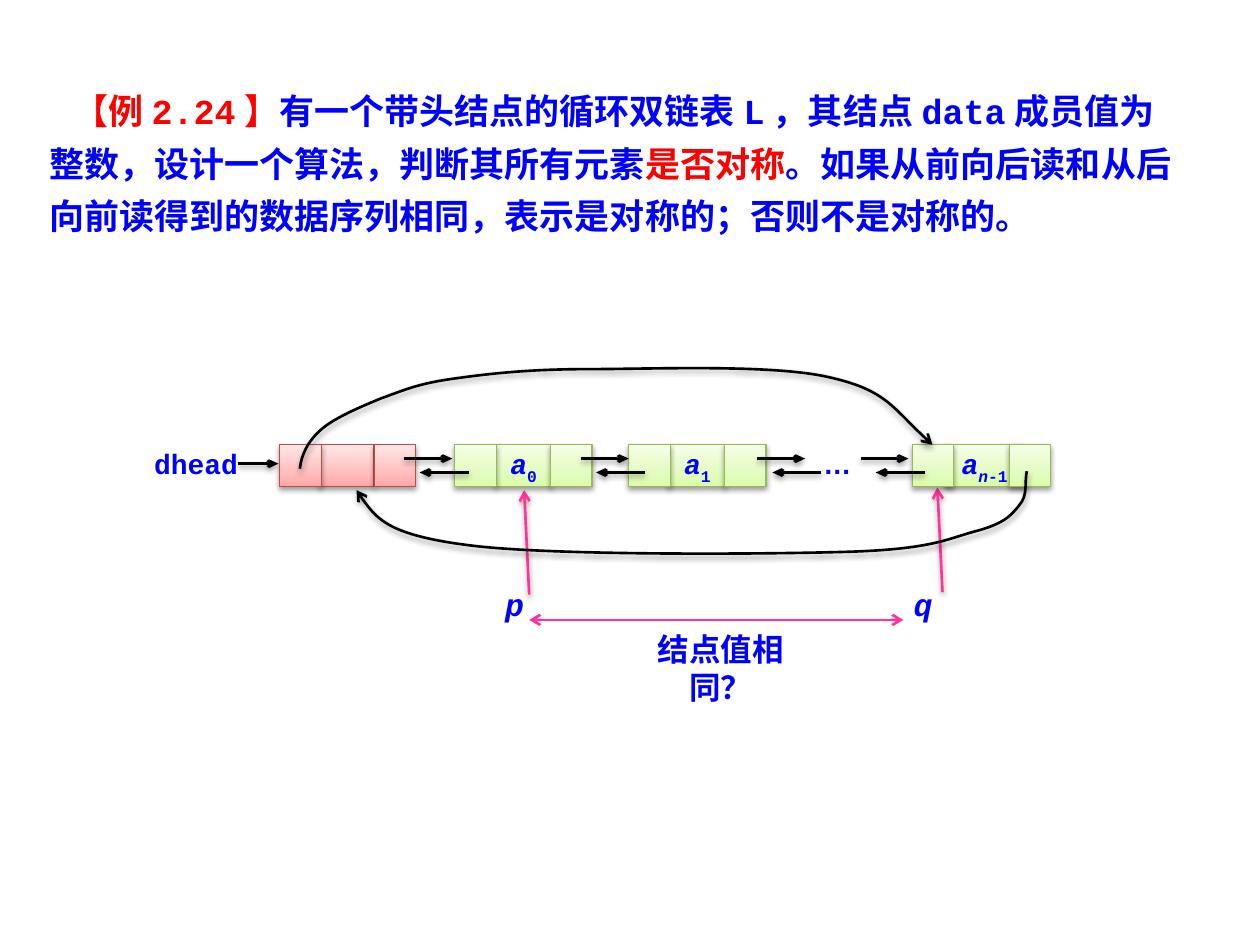
from lxml.etree import SubElement
from pptx import Presentation
from pptx.dml.color import RGBColor
from pptx.enum.shapes import MSO_CONNECTOR, MSO_SHAPE
from pptx.enum.text import MSO_ANCHOR, PP_ALIGN
from pptx.oxml import parse_xml
from pptx.oxml.ns import nsdecls, qn
from pptx.util import Inches, Pt

BLUE, RED, PINK, BLACK, WHITE = "0000FF", "FF0000", "FF3399", "000000", "FFFFFF"
ROSE = ("FFA6A5", "FFC0BF", "FFE7E7", "BF4C48")
GREEN = ("DAFDA7", "E4FCC2", "F5FFE7", "98B955")
MONO, HAN = "Courier New", "Noto Sans CJK SC"


def color(code):
    """Turn a hex string into a colour."""
    return RGBColor.from_string(code)


def shade(shape, on=True):
    """Give a shape a soft shadow below it, or none."""
    props = shape._element.spPr
    for old in props.findall(qn("a:effectLst")):
        props.remove(old)
    effects = SubElement(props, qn("a:effectLst"))
    if on:
        effects.append(parse_xml(
            f'<a:outerShdw {nsdecls("a")} blurRad="40000" dist="20000" dir="5400000" '
            'rotWithShape="0"><a:srgbClr val="000000"><a:alpha val="38000"/>'
            '</a:srgbClr></a:outerShdw>'))


def stroke(shape, code, ends=("tailEnd",), shadow=True, wide="med"):
    """Style a line or curve with arrowheads."""
    shape.line.color.rgb = color(code)
    shape.line.width = Pt(1.5)
    for end in ends:
        SubElement(shape.line._get_or_add_ln(), qn(f"a:{end}"), type="arrow", w=wide)
    shade(shape, shadow)


def arrow(group, x1, y1, x2, y2, code=BLACK, **style):
    """Draw a straight arrow between two points."""
    line = group.shapes.add_connector(
        MSO_CONNECTOR.STRAIGHT, Inches(x1), Inches(y1), Inches(x2), Inches(y2))
    stroke(line, code, **style)


def curve(group, x, y, start, *points):
    """Draw a curved arrow; each three points make one cubic segment."""
    form = group.shapes.build_freeform(Inches(x + start[0]), Inches(y + start[1]))
    form.add_line_segments([(Inches(x + a), Inches(y + b)) for a, b in points], close=False)
    shape = form.convert_to_shape()
    track = next(shape._element.iter(qn("a:path")))
    lines = track.findall(qn("a:lnTo"))
    for first in range(0, len(lines), 3):
        bend = SubElement(track, qn("a:cubicBezTo"))
        for line in lines[first:first + 3]:
            bend.append(line[0])
            track.remove(line)
    shape.fill.background()
    stroke(shape, BLACK)


def box(group, x, y, w, h, fill=None):
    """Add a plain rectangle, filled or clear."""
    shape = group.shapes.add_shape(
        MSO_SHAPE.RECTANGLE, Inches(x), Inches(y), Inches(w), Inches(h))
    shape.line.fill.background()
    shape.shadow.inherit = False
    if fill:
        shape.fill.solid()
        shape.fill.fore_color.rgb = color(fill)
    else:
        shape.fill.background()
    return shape


def write(shape, runs, size=16, font=MONO, italic=False, inset=(0.1, 0, 0.1, 0),
          anchor=MSO_ANCHOR.MIDDLE, align=PP_ALIGN.CENTER, spacing=None):
    """Write (text, colour, italic, baseline) runs as one bold paragraph."""
    frame = shape.text_frame
    frame.word_wrap = True
    frame.vertical_anchor = anchor
    (frame.margin_left, frame.margin_top,
     frame.margin_right, frame.margin_bottom) = map(Inches, inset)
    para = frame.paragraphs[0]
    para.alignment = align
    para.line_spacing = spacing
    para.font.name, para.font.size = font, Pt(size)
    para.font.bold, para.font.italic = True, italic
    for text, code, slant, base in runs:
        run = para.add_run()
        run.text = text
        run.font.color.rgb = color(code)
        run.font.italic = slant
        if base:
            run.font._element.set("baseline", str(base * 1000))
        SubElement(run.font._element, qn("a:ea"), typeface=HAN)
    return para


def cell(group, x, y, w, h, look):
    """Draw one gradient cell of a list node."""
    shape = box(group, x, y, w, h)
    shape.fill.gradient()
    shape.fill.gradient_angle = 90
    stops = shape._element.spPr.find(qn("a:gradFill")).find(qn("a:gsLst"))
    for old in list(stops):
        stops.remove(old)
    for place, code in zip((0, 35, 100), look):
        stop = SubElement(stops, qn("a:gs"), pos=str(place * 1000))
        SubElement(stop, qn("a:srgbClr"), val=code)
    shape.line.color.rgb = color(look[3])
    shape.line.width = Pt(0.75)
    shade(shape)
    return shape


def node(group, x, y, look, mid=0.32, wide=0.45, right=0.76, sub=()):
    """Draw a node of two link cells around a data cell."""
    data = cell(group, x + mid, y, wide, 0.33, look)
    for left in (x + right, x):
        cell(group, left, y, 0.33, 0.33, look)
    if sub:
        runs = [("a", BLUE, True, 0)] + [(t, BLUE, i, -30) for t, i in sub]
        write(data, runs, spacing=Pt(23))


def chain(slide, x, y):
    """Draw the circular doubly linked list."""
    group = slide.shapes.add_group_shape()
    write(box(group, x, y, 0.85, 0.33, WHITE), [("dhead", BLUE, None, 0)],
          inset=(0.02, 0, 0.1, 0.04))
    node(group, x + 1.05, y, ROSE, wide=0.43, right=0.75)
    node(group, x + 2.44, y, GREEN, sub=[("0", False)])
    node(group, x + 3.82, y, GREEN, sub=[("1", False)])
    node(group, x + 6.07, y, GREEN, 0.26, 0.63, 0.77, [("n", True), ("-1", False)])
    write(box(group, x + 5.22, y, 0.51, 0.33, WHITE), [("…", BLUE, None, 0)],
          font="Arial", inset=(0.1, 0, 0.1, 0.04))
    arrow(group, x + 0.72, y + 0.15, x + 1.04, y + 0.15, wide="sm")
    for gap in (2.04, 3.44, 4.84, 5.66):
        left = x + gap
        arrow(group, left, y + 0.11, left + 0.38, y + 0.11, wide="sm")
        arrow(group, left + 0.51, y + 0.22, left + 0.12, y + 0.22, wide="sm")
    curve(group, x, y, (6.98, 0.21),
          (6.96, 0.31), (6.99, 0.4), (6.92, 0.48),
          (6.85, 0.57), (6.79, 0.63), (6.56, 0.69),
          (6.34, 0.75), (6.22, 0.83), (5.55, 0.85),
          (4.88, 0.87), (3.21, 0.88), (2.57, 0.8),
          (1.92, 0.72), (1.78, 0.55), (1.66, 0.36))
    curve(group, x, y, (1.21, 0.19),
          (1.22, 0.08), (1.28, -0.04), (1.39, -0.13),
          (1.5, -0.22), (1.69, -0.3), (1.86, -0.37),
          (2.03, -0.43), (2.13, -0.48), (2.4, -0.52),
          (2.68, -0.56), (3, -0.6), (3.5, -0.6),
          (4, -0.6), (4.93, -0.64), (5.39, -0.54),
          (5.85, -0.44), (5.91, -0.29), (6.23, 0))


def label(group, x, y, w, h, text, side=0.1, **style):
    """Add a centred text label."""
    shape = group.shapes.add_textbox(Inches(x), Inches(y), Inches(w), Inches(h))
    write(shape, [(text, BLUE, None, 0)], size=18, inset=(side, 0.05, side, 0.05),
          anchor=MSO_ANCHOR.TOP, **style)


def match(slide, x, y):
    """Draw the pointers p and q and the comparison between them."""
    group = slide.shapes.add_group_shape()
    for name, left, wide, tip in (("p", 0, 0.55, 0.02), ("q", 3.28, 0.47, 0)):
        label(group, x + left, y + 0.78, wide, 0.35, name, italic=True, spacing=0.8)
        end = x + left + 0.35
        arrow(group, end + 0.04, y + 0.83 + tip, end, y + tip, PINK)
    arrow(group, x + 0.39, y + 1.05, x + 3.36, y + 1.05, PINK,
          ends=("headEnd", "tailEnd"), shadow=False)
    label(group, x + 1.17, y + 1.08, 1.48, 0.4, "结点值相同？", side=0.2, font=HAN)


def task(slide, x, y, w, h):
    """Write the exercise statement."""
    runs = [("【例2.24】", RED),
            ("有一个带头结点的循环双链表L，其结点data成员值为整数，设计一个算法，判断其所有元素", BLUE),
            ("是否对称", RED),
            ("。如果从前向后读和从后向前读得到的数据序列相同，表示是对称的；否则不是对称的。", BLUE)]
    para = write(box(slide, x, y, w, h, WHITE), [(t, c, None, 0) for t, c in runs],
                 size=20, inset=(0.15, 0.12, 0.1, 0.12), anchor=MSO_ANCHOR.TOP,
                 align=PP_ALIGN.LEFT, spacing=Pt(30))
    para._p.get_or_add_pPr().set("indent", str(Inches(0.19)))


def main():
    """Build and save the slide."""
    deck = Presentation()
    deck.slide_width, deck.slide_height = Inches(10), Inches(7.5)
    slide = deck.slides.add_slide(deck.slide_layouts[6])
    task(slide, 0.24, 0.51, 9.26, 1.46)
    match(slide, 3.81, 3.87)
    chain(slide, 1.17, 3.53)
    deck.save("out.pptx")


if __name__ == "__main__":
    main()
